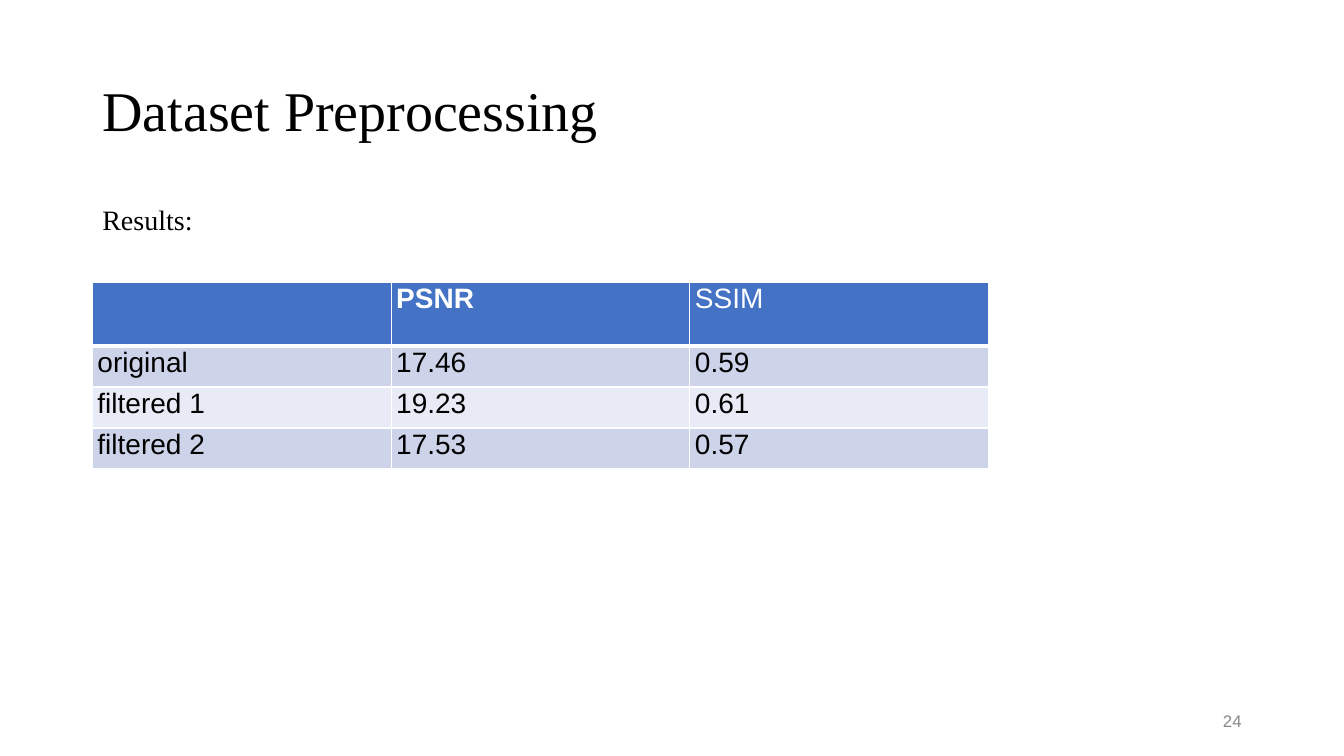
from lxml import etree
from pptx import Presentation
from pptx import util as u
from pptx.dml import color
from pptx.enum import text
from pptx.oxml import ns

COLUMNS, ROWS = 160, 90
MARGIN = 11


def rgb(value):
    return color.RGBColor.from_string(value)


class ResultsSlide:
    serif, sans = "Times New Roman", "Arial"
    ink, muted, white = "000000", "888888", "FFFFFF"
    header, bands = "4472C4", ("CDD4EA", "E8EBF5")

    def __init__(self, deck):
        self.column = deck.slide_width / COLUMNS
        self.row = deck.slide_height / ROWS
        self.slide = deck.slides.add_slide(deck.slide_layouts[5])

    def box(self, left, top, width, height):
        return (u.Emu(round(left * self.column)), u.Emu(round(top * self.row)),
                u.Emu(round(width * self.column)), u.Emu(round(height * self.row)))

    def style(self, paragraph, size, face, ink, bold=False):
        font = paragraph.font
        font.size, font.name, font.bold = u.Pt(size), face, bold
        font.color.rgb = rgb(ink)

    def fill_frame(self, frame, words, size, face, ink, anchor, align, spacing=1.0):
        frame.word_wrap = True
        frame.vertical_anchor = anchor
        paragraph = frame.paragraphs[0]
        paragraph.text = words
        paragraph.alignment = align
        paragraph.line_spacing = spacing
        self.style(paragraph, size, face, ink)

    def title(self, words, *place):
        heading = self.slide.shapes.title
        heading.left, heading.top, heading.width, heading.height = self.box(*place)
        self.fill_frame(heading.text_frame, words, 40, self.serif, self.ink,
                        text.MSO_ANCHOR.MIDDLE, text.PP_ALIGN.LEFT, 0.9)

    def body(self, words, *place):
        frame = self.slide.shapes.add_textbox(*self.box(*place)).text_frame
        self.fill_frame(frame, words, 20, self.serif, self.ink,
                        text.MSO_ANCHOR.TOP, text.PP_ALIGN.LEFT, 0.9)

    def page_number(self, words, *place):
        frame = self.slide.shapes.add_textbox(*self.box(*place)).text_frame
        self.fill_frame(frame, words, 12, self.sans, self.muted,
                        text.MSO_ANCHOR.MIDDLE, text.PP_ALIGN.RIGHT)

    def borders(self, cell, bottom, top):
        properties = cell._tc.get_or_add_tcPr()
        widths = {"lnL": 1, "lnR": 1, "lnT": top, "lnB": bottom}
        for index, (side, width) in enumerate(widths.items()):
            line = etree.Element(ns.qn(f"a:{side}"), w=str(u.Pt(width)))
            fill = etree.SubElement(line, ns.qn("a:solidFill"))
            etree.SubElement(fill, ns.qn("a:srgbClr"), val=self.white)
            properties.insert(index, line)

    def table(self, records, heights, left, top, width):
        grid = self.slide.shapes.add_table(
            len(records), len(records[0]),
            *self.box(left, top, width, sum(heights))).table
        for r, record in enumerate(records):
            grid.rows[r].height = u.Emu(round(heights[r] * self.row))
            for c, words in enumerate(record):
                cell = grid.cell(r, c)
                cell.fill.solid()
                cell.fill.fore_color.rgb = rgb(
                    self.bands[(r - 1) % 2] if r else self.header)
                cell.margin_left = cell.margin_right = u.Inches(0.05)
                cell.margin_top = cell.margin_bottom = u.Inches(0.01)
                paragraph = cell.text_frame.paragraphs[0]
                paragraph.text = words
                self.style(paragraph, 20, self.sans,
                           self.ink if r else self.white, words == "PSNR")
                self.borders(cell, 1 if r else 3, 3 if r == 1 else 1)


def main():
    deck = Presentation()
    deck.slide_width, deck.slide_height = u.Inches(13.33), u.Inches(7.5)
    results = ResultsSlide(deck)
    results.title("Dataset Preprocessing", MARGIN, 4.8, 138, 17.4)
    results.body("Results:", MARGIN, 24, 125, 56.5)
    results.page_number("24", 113, 83.4, 36, 4.8)
    scores = [
        ("", "PSNR", "SSIM"),
        ("original", "17.46", "0.59"),
        ("filtered 1", "19.23", "0.61"),
        ("filtered 2", "17.53", "0.57"),
    ]
    results.table(scores, [7.6] + [4.88] * 3, MARGIN, 33.6, 106.7)
    deck.save("out.pptx")


if __name__ == "__main__":
    main()
